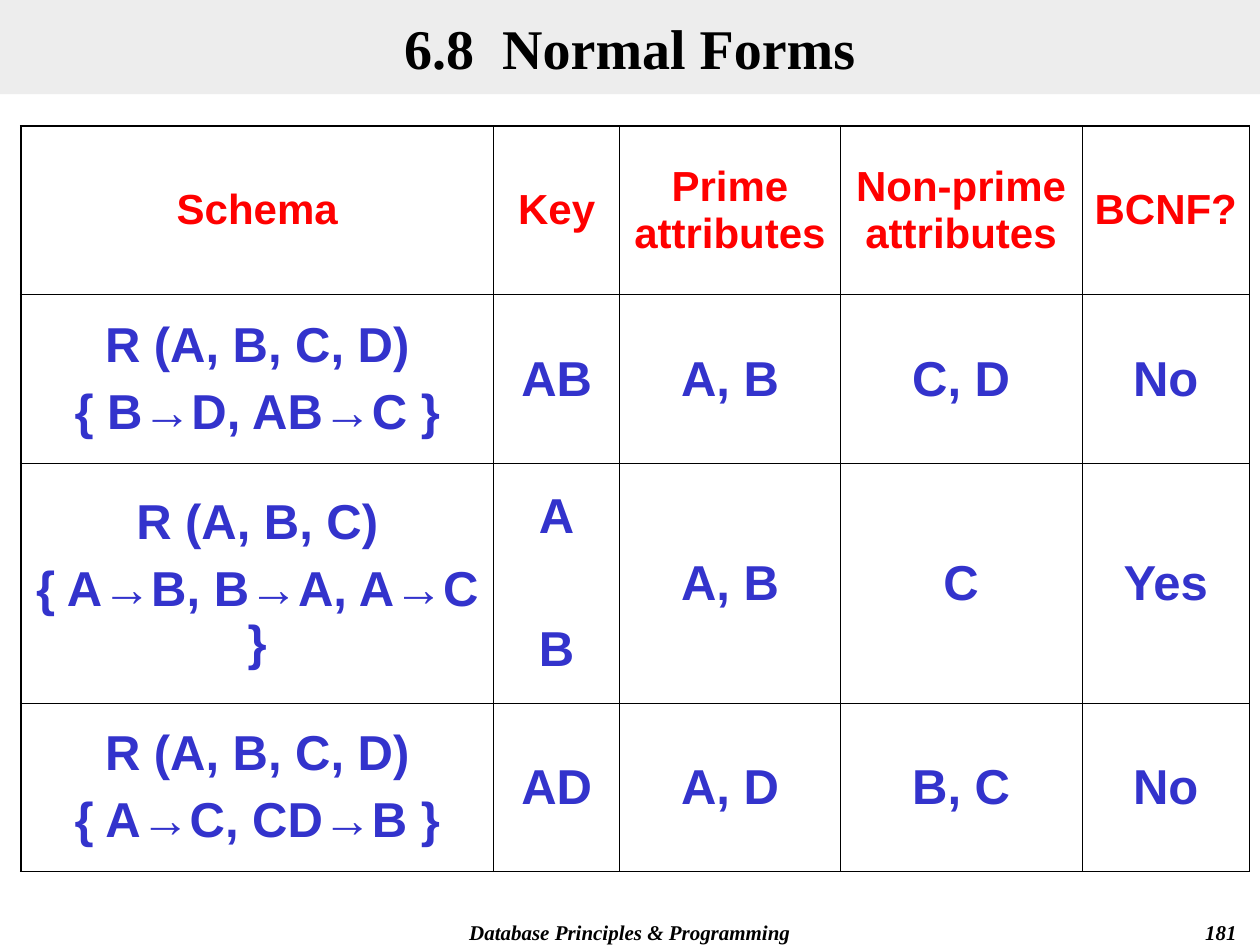
from lxml import etree
from pptx import Presentation
from pptx.dml.color import RGBColor
from pptx.enum.shapes import MSO_SHAPE
from pptx.enum.text import MSO_ANCHOR, PP_ALIGN
from pptx.oxml.ns import qn
from pptx.util import Cm, Pt

CENTER, RIGHT = PP_ALIGN.CENTER, PP_ALIGN.RIGHT
TOP, MIDDLE = MSO_ANCHOR.TOP, MSO_ANCHOR.MIDDLE
RECTANGLE = MSO_SHAPE.RECTANGLE

SERIF, SANS = "Times New Roman", "Arial"
BLACK, RED, BLUE, GREY = "000000", "FF0000", "3333CC", "DDDDDD"
OUTER_LINE, INNER_LINE = 1.08, 0.45
PARAGRAPH_GAP, KEY_GAP = 7, 45

COLUMN_WIDTHS = [9.53, 2.54, 4.45, 4.87, 3.38]
ROW_HEIGHTS = [3.4, 3.4, 4.83, 3.4]
HEADINGS = ["Schema", "Key", "Prime attributes", "Non-prime attributes", "BCNF?"]
SCHEMAS = [
    ["R (A, B, C, D)\n{ B→D, AB→C }", "AB", "A, B", "C, D", "No"],
    ["R (A, B, C)\n{ A→B, B→A, A→C }", "A\nB", "A, B", "C", "Yes"],
    ["R (A, B, C, D)\n{ A→C, CD→B }", "AD", "A, D", "B, C", "No"],
]


def rgb(color):
    return RGBColor.from_string(color)


def write(frame, text, *, size, font=SERIF, color=BLACK, italic=False,
          align=CENTER, gap=0):
    """Write one paragraph per line of text, with gap points between them."""
    frame.word_wrap = True
    for index, line in enumerate(text.split("\n")):
        paragraph = frame.add_paragraph() if index else frame.paragraphs[0]
        paragraph.alignment = align
        if index:
            paragraph.space_before = Pt(gap)
        run = paragraph.add_run()
        run.text = line
        run.font.name = font
        run.font.size = Pt(size)
        run.font.bold = True
        run.font.italic = italic
        run.font.color.rgb = rgb(color)


def add_title_band(slide, title):
    band = slide.shapes.add_shape(RECTANGLE, 0, 0, Cm(25.4), Cm(1.9))
    band.shadow.inherit = False
    band.line.fill.background()
    band.fill.solid()
    band.fill.fore_color.rgb = rgb(GREY)
    tint = band.fill._xPr.find(qn("a:solidFill"))[0]
    etree.SubElement(tint, qn("a:alpha"), val="50000")
    band.text_frame.vertical_anchor = MIDDLE
    write(band.text_frame, title, size=32)


def add_footer(slide, text, left, width, align):
    footer = slide.shapes.add_textbox(Cm(left), Cm(18.42), Cm(width), Cm(0.63))
    footer.text_frame.vertical_anchor = TOP
    write(footer.text_frame, text, size=12, italic=True, align=align)


def set_borders(cell, outer_sides):
    """Draw all four borders, with the heavier line on the outer sides."""
    properties = cell._tc.get_or_add_tcPr()
    for position, side in enumerate("LRTB"):
        weight = OUTER_LINE if side in outer_sides else INNER_LINE
        border = etree.Element(qn(f"a:ln{side}"), w=str(Pt(weight)))
        fill = etree.SubElement(border, qn("a:solidFill"))
        etree.SubElement(fill, qn("a:srgbClr"), val=BLACK)
        properties.insert(position, border)


def add_schema_table(slide):
    rows = [HEADINGS] + SCHEMAS
    table = slide.shapes.add_table(
        len(rows), len(HEADINGS), Cm(0.42), Cm(2.54),
        Cm(sum(COLUMN_WIDTHS)), Cm(sum(ROW_HEIGHTS))).table
    table.first_row = table.horz_banding = False
    for column, width in zip(table.columns, COLUMN_WIDTHS):
        column.width = Cm(width)
    for row, height in zip(table.rows, ROW_HEIGHTS):
        row.height = Cm(height)

    last_row, last_column = len(rows) - 1, len(HEADINGS) - 1
    for r, texts in enumerate(rows):
        for c, text in enumerate(texts):
            cell = table.cell(r, c)
            cell.fill.background()
            cell.vertical_anchor = MIDDLE
            edges = {"L": c == 0, "R": c == last_column,
                     "T": r == 0, "B": r == last_row}
            set_borders(cell, [side for side, outer in edges.items() if outer])
            write(cell.text_frame, text, font=SANS,
                  size=28 if r else 24, color=BLUE if r else RED,
                  gap=KEY_GAP if HEADINGS[c] == "Key" else PARAGRAPH_GAP)


def main():
    presentation = Presentation()
    presentation.slide_width, presentation.slide_height = Cm(25.4), Cm(19.05)
    slide = presentation.slides.add_slide(presentation.slide_layouts[6])
    add_footer(slide, "Database Principles & Programming", 7.2, 11, CENTER)
    add_footer(slide, "181", 19.9, 5.28, RIGHT)
    add_title_band(slide, "6.8  Normal Forms")
    add_schema_table(slide)
    presentation.save("out.pptx")


if __name__ == "__main__":
    main()
